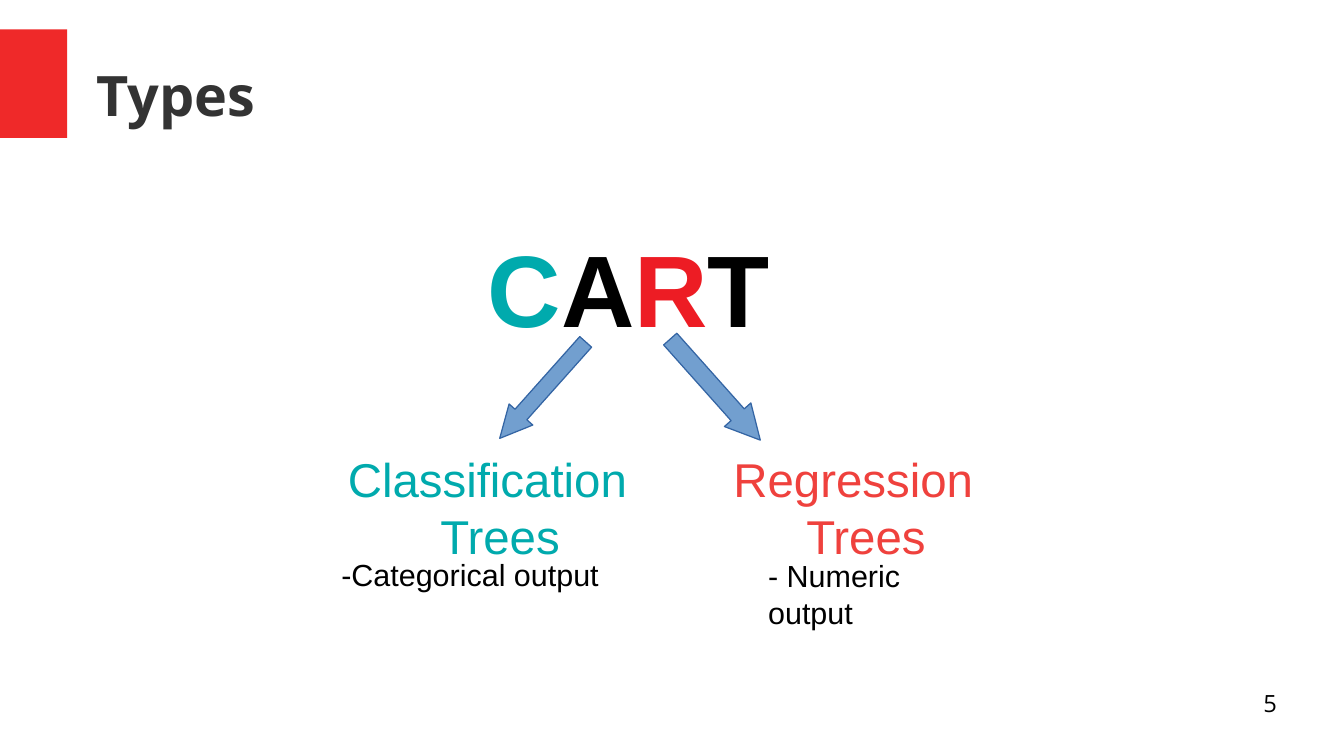
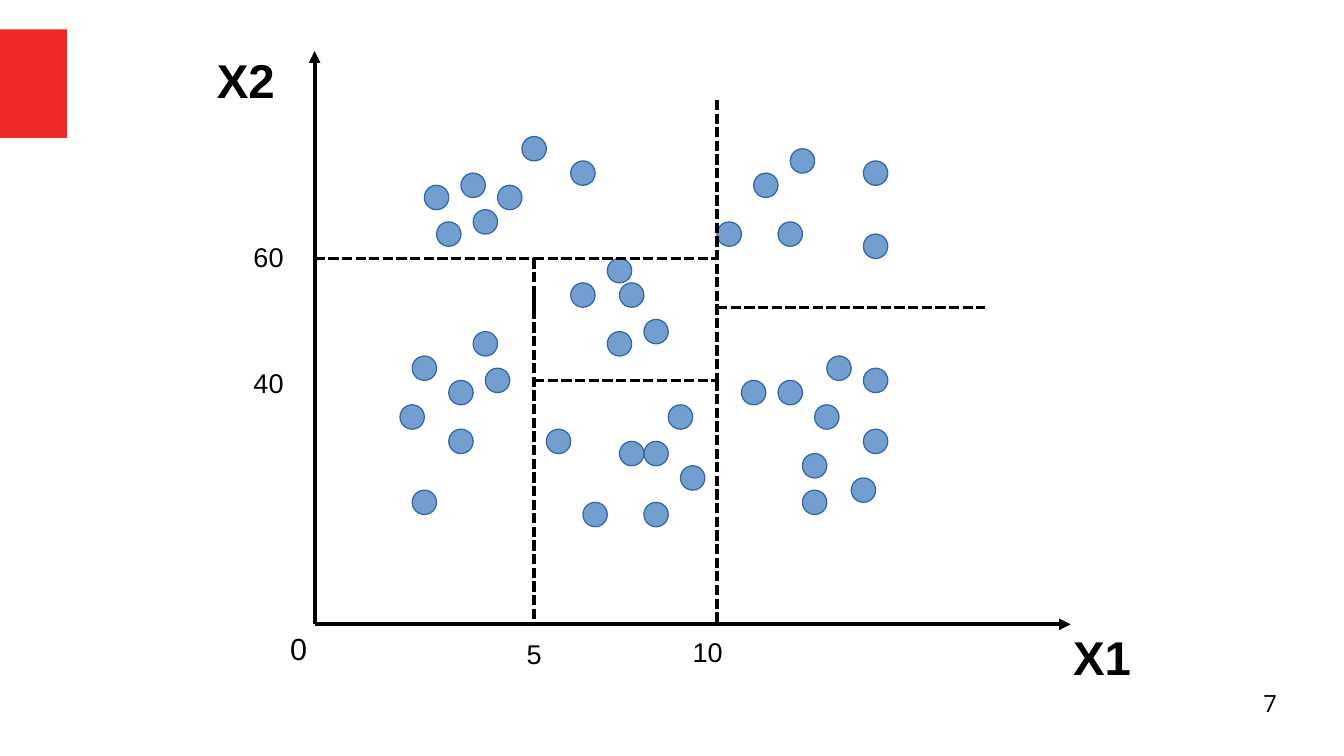
import pptx
import pptx.util
import pptx.dml.color
import pptx.enum.dml
import pptx.enum.shapes
import pptx.enum.text
import pptx.oxml
import pptx.oxml.ns

Inches = pptx.util.Inches
Pt = pptx.util.Pt
RGB = pptx.dml.color.RGBColor
KIND = pptx.enum.shapes.MSO_SHAPE
ALIGN = pptx.enum.text.PP_ALIGN
ANCHOR = pptx.enum.text.MSO_ANCHOR

BLACK = RGB(0x00, 0x00, 0x00)
DARK = RGB(0x33, 0x33, 0x33)
BAND = RGB(0xEF, 0x29, 0x29)
TEAL = RGB(0x00, 0xAA, 0xAD)
RED = RGB(0xED, 0x1C, 0x24)
CORAL = RGB(0xEF, 0x41, 0x3D)
BLUE = RGB(0x72, 0x9F, 0xCF)
EDGE = RGB(0x34, 0x65, 0xA4)


def text(box, *lines, size=18, font="Arial", hue=BLACK, hues=None,
         bold=False, align=ALIGN.LEFT, wrap=True, inset=True,
         anchor=ANCHOR.TOP):
    frame = box.text_frame
    frame.auto_size = pptx.enum.text.MSO_AUTO_SIZE.NONE
    frame.word_wrap = wrap
    frame.vertical_anchor = anchor
    if not inset:
        frame.margin_left = frame.margin_right = 0
        frame.margin_top = frame.margin_bottom = 0
    for i, line in enumerate(lines):
        par = frame.add_paragraph() if i else frame.paragraphs[0]
        par.alignment = align
        for part, tint in zip(line, hues) if hues else [(line, hue)]:
            run = par.add_run()
            run.text = part
            run.font.name = font
            run.font.size = Pt(size)
            run.font.bold = bold
            run.font.color.rgb = tint


def shape(slide, kind, at, fill, edge=None):
    item = slide.shapes.add_shape(kind, *map(Inches, at))
    item.shadow.inherit = False
    item.fill.solid()
    item.fill.fore_color.rgb = fill
    if edge is None:
        item.line.fill.background()
    else:
        item.line.color.rgb = edge
        item.line.width = Pt(0)
    return item


deck = pptx.Presentation()
deck.slide_width = Inches(11.02)
deck.slide_height = Inches(6.2)
types = deck.slides.add_slide(deck.slide_layouts[5])
plot = deck.slides.add_slide(deck.slide_layouts[6])

band = shape(types, KIND.RECTANGLE, (0, 0.24, 0.55, 0.89), BAND)
deck.slide_master.shapes.element.insert(2, band.element)

title = types.shapes.title
title.left, title.top = Inches(0.79), Inches(0.25)
title.width, title.height = Inches(9.68), Inches(1.04)
text(title, "Types", size=32.9, font="Open Sans", hue=DARK, bold=True,
     inset=False, anchor=ANCHOR.MIDDLE)

for kind, at, turn, head in (
    (KIND.LEFT_ARROW, (3.92, 3.07, 1.06, 0.26), 311.7, 1.01),
    (KIND.RIGHT_ARROW, (5.31, 3.05, 1.11, 0.29), 48.3, 0.96),
):
    arrow = shape(types, kind, at, BLUE, EDGE)
    arrow.rotation = turn
    arrow.adjustments[1] = head

for x, y in (
    (6.08, 3.12), (6.38, 3.12), (6.78, 2.92), (6.38, 1.82), (7.08, 1.92),
    (6.18, 1.42), (5.88, 1.82), (4.98, 2.12), (5.28, 2.62), (4.98, 2.72),
    (5.08, 2.32), (4.68, 2.32), (3.68, 3.52), (3.28, 3.32), (3.68, 3.12),
    (3.98, 3.02), (3.38, 2.92), (3.58, 1.82), (4.08, 1.52), (3.88, 1.72),
    (3.48, 1.52), (3.78, 1.42), (4.68, 1.32), (6.48, 1.22), (7.08, 1.32),
    (4.28, 1.12), (5.58, 3.82), (5.28, 4.12), (4.78, 4.12), (5.08, 3.62),
    (5.28, 3.62), (5.48, 3.32), (4.48, 3.52), (6.68, 3.32), (6.58, 4.02),
    (6.98, 3.92), (6.58, 3.72), (7.08, 3.02), (7.08, 3.52), (3.38, 4.02),
    (3.88, 2.72),
):
    shape(plot, KIND.OVAL, (x, y, 0.2, 0.2), BLUE, EDGE)

for ends, axis in (
    ((2.58, 5.12, 2.58, 0.42), True),
    ((2.58, 5.12, 8.78, 5.12), True),
    ((2.58, 2.12, 4.38, 2.12), False),
    ((4.38, 2.12, 5.88, 2.12), False),
    ((4.38, 2.12, 4.38, 2.62), False),
    ((4.38, 2.42, 4.38, 5.12), False),
    ((4.38, 3.12, 5.88, 3.12), False),
    ((5.88, 0.82, 5.88, 3.12), False),
    ((5.88, 3.12, 5.88, 5.12), False),
    ((5.88, 2.52, 8.08, 2.52), False),
):
    link = plot.shapes.add_connector(
        pptx.enum.shapes.MSO_CONNECTOR.STRAIGHT, *map(Inches, ends))
    link.line.color.rgb = BLACK
    link.line.width = Pt(2.3 if axis else 0)
    props = link.element.spPr
    if axis:
        tip = pptx.oxml.parse_xml(
            f'<a:tailEnd {pptx.oxml.ns.nsdecls("a")} type="triangle"/>')
        props.find(pptx.oxml.ns.qn("a:ln")).append(tip)
    else:
        link.line.dash_style = pptx.enum.dml.MSO_LINE.SQUARE_DOT
    props.append(pptx.oxml.parse_xml(
        f'<a:effectLst {pptx.oxml.ns.nsdecls("a")}/>'))

mid = ALIGN.CENTER
foot = dict(size=14, font="Open Sans", align=ALIGN.RIGHT, inset=False)
name = dict(size=28, bold=True)
tick = dict(size=16)
for slide, at, lines, form in (
    (types, (3.9, 1.8, 3.6, 1.07), ["CART"],
     dict(size=60, bold=True, hues=(TEAL, BLACK, RED, BLACK))),
    (types, (5.6, 3.64, 2.9, 1), ["Regression ", " Trees"],
     dict(size=28, hue=CORAL, align=mid)),
    (types, (2.6, 3.64, 2.9, 1), ["Classification ", " Trees"],
     dict(size=28, hue=TEAL, align=mid)),
    (types, (2.7, 4.51, 2.62, 0.64), ["-Categorical output"], {}),
    (types, (6.2, 4.52, 2.04, 0.66), ["- Numeric output"], {}),
    (types, (7.9, 5.65, 2.57, 0.43), ["5"], foot),
    (plot, (8.7, 5.1, 0.8, 0.6), ["X1"], name),
    (plot, (1.68, 0.37, 0.78, 0.55), ["X2"], name),
    (plot, (4.22, 5.18, 0.36, 0.4), ["5"], tick),
    (plot, (1.98, 2.96, 0.51, 0.36), ["40"], tick),
    (plot, (1.98, 1.92, 0.51, 0.36), ["60"], tick),
    (plot, (5.58, 5.16, 0.51, 0.36), ["10"], tick),
    (plot, (2.28, 5.12, 0.37, 0.39), ["0"], dict(wrap=False)),
    (plot, (7.9, 5.65, 2.57, 0.43), ["7"], foot),
):
    box = slide.shapes.add_textbox(*map(Inches, at))
    text(box, *lines, **form)

deck.save("out.pptx")
